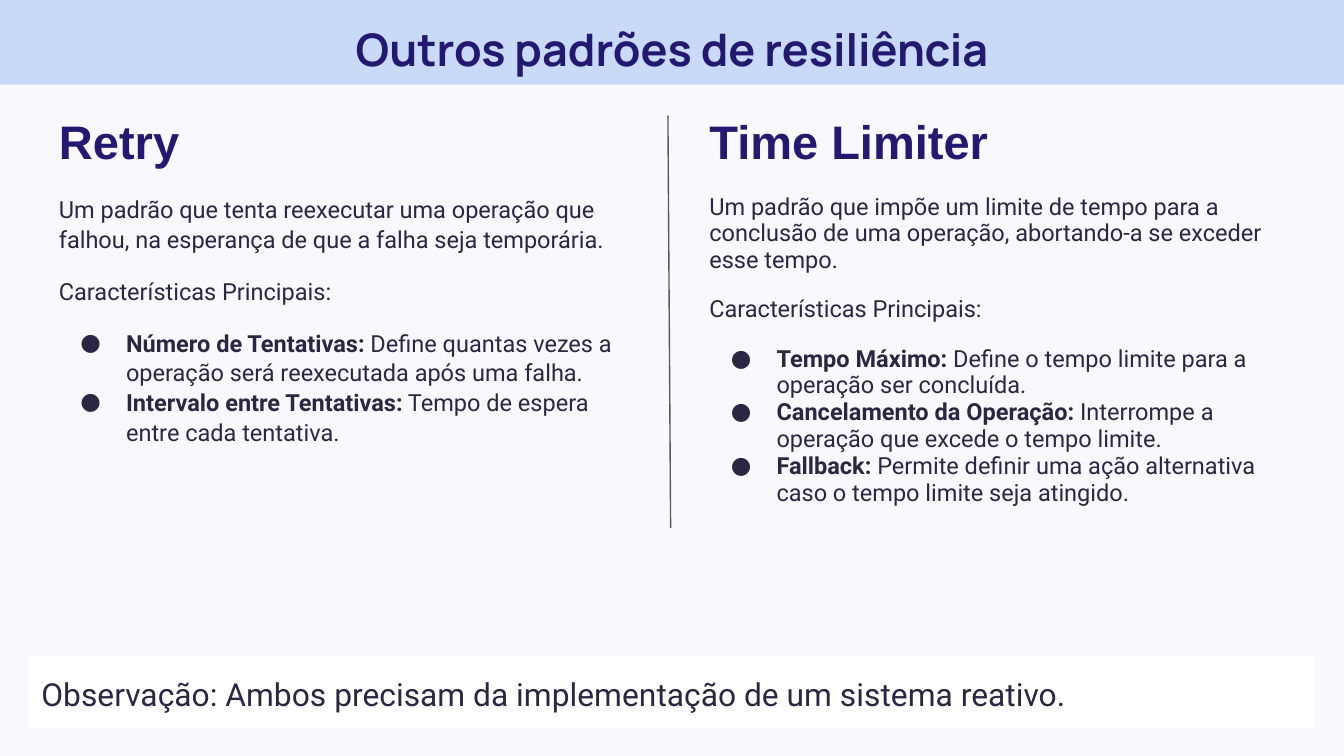
from pptx import Presentation
from pptx import util as u
from pptx.dml import color
from pptx.enum import shapes, text
from pptx.oxml import parse_xml
from pptx.oxml.ns import nsdecls

NAVY, INK = "231971", "2A2742"
HEAD = dict(size=u.Pt(25.2), name="Arial", bold=True)
BODY = dict(size=u.Pt(12.6), name="Roboto")
BAR = dict(size=u.Pt(24), name="Manrope", bold=True)
NOTE = dict(size=u.Pt(17), name="Roboto")


def tint(code):
    return color.RGBColor.from_string(code)


def apply(item, style):
    for key, val in style.items():
        setattr(item, key, val)


class Deck:
    def __init__(self, wide, high, back):
        self.prs = Presentation()
        self.prs.slide_width = u.Inches(wide)
        self.prs.slide_height = u.Inches(high)
        self.slide = self.prs.slides.add_slide(self.prs.slide_layouts[6])
        fill = self.slide.background.fill
        fill.solid()
        fill.fore_color.rgb = tint(back)

    def frame(self, shape, anchor):
        edges = ("left", "top", "right", "bottom")
        apply(shape.text_frame, {f"margin_{e}": u.Inches(0.1) for e in edges})
        apply(shape.text_frame, dict(word_wrap=True, vertical_anchor=anchor))
        return shape.text_frame

    def box(self, spot, anchor=text.MSO_ANCHOR.TOP):
        shape = self.slide.shapes.add_textbox(*map(u.Inches, spot))
        return self.frame(shape, anchor)

    def bar(self, spot, fill, words, style, code, align):
        shape = self.slide.shapes.add_shape(
            shapes.MSO_SHAPE.RECTANGLE, *map(u.Inches, spot))
        shape.shadow.inherit = False
        shape.fill.solid()
        shape.fill.fore_color.rgb = tint(fill)
        shape.line.fill.background()
        frame = self.frame(shape, text.MSO_ANCHOR.TOP)
        para = frame.paragraphs[0]
        apply(para, dict(alignment=align, line_spacing=1.15))
        self.run(para, words, style, code)

    def run(self, para, words, style, code, **extra):
        run = para.add_run()
        run.text = words
        apply(run.font, {**style, **extra})
        run.font.color.rgb = tint(code)

    def bullet(self, para):
        props = para._p.get_or_add_pPr()
        props.set("marL", str(u.Inches(0.5)))
        props.set("indent", str(u.Inches(-0.34)))
        for part in (f'buClr {nsdecls("a")}><a:srgbClr val="{INK}"/></a:buClr>',
                     f'buSzPts {nsdecls("a")} val="1260"/>',
                     f'buFont {nsdecls("a")} typeface="Roboto"/>',
                     f'buChar {nsdecls("a")} char="●"/>'):
            props.append(parse_xml("<a:" + part))

    def column(self, left, title, intro, points, gap):
        head = self.box((left, 0.73, 4.32, 0.63), text.MSO_ANCHOR.BOTTOM)
        self.run(head.paragraphs[0], title, HEAD, NAVY)
        body = self.box((left, 1.34, 4.43, 2.59))
        lines = [("", intro), ("", "Características Principais:"), *points]
        for i, (label, words) in enumerate(lines):
            para = body.add_paragraph() if i else body.paragraphs[0]
            para.line_spacing = gap
            para.space_before = u.Pt(12 if i in (1, 2) else 0)
            if label:
                self.bullet(para)
                self.run(para, label, BODY, INK, bold=True)
                words = " " + words
            self.run(para, words, BODY, INK, bold=False)

    def rule(self, start, end, code, width):
        line = self.slide.shapes.add_connector(
            shapes.MSO_CONNECTOR.STRAIGHT, *map(u.Inches, start + end))
        line.line.color.rgb = tint(code)
        line.line.width = u.Pt(width)
        line._element.spPr.append(
            parse_xml(f'<a:effectLst {nsdecls("a")}/>'))


def main():
    deck = Deck(10, 5.625, "FAF8FF")
    deck.column(
        0.34, "Retry",
        "Um padrão que tenta reexecutar uma operação que falhou, "
        "na esperança de que a falha seja temporária.",
        [("Número de Tentativas:",
          "Define quantas vezes a operação será reexecutada após uma falha."),
         ("Intervalo entre Tentativas:",
          "Tempo de espera entre cada tentativa.")], 1.05)
    deck.bar((0, 0, 10, 0.63), "C9DAF8", "Outros padrões de resiliência",
             BAR, NAVY, text.PP_ALIGN.CENTER)
    deck.rule((4.97, 0.86), (4.99, 3.93), "595959", 0.75)
    deck.column(
        5.18, "Time Limiter",
        "Um padrão que impõe um limite de tempo para a conclusão de uma "
        "operação, abortando-a se exceder esse tempo.",
        [("Tempo Máximo:",
          "Define o tempo limite para a operação ser concluída."),
         ("Cancelamento da Operação:",
          "Interrompe a operação que excede o tempo limite."),
         ("Fallback:",
          "Permite definir uma ação alternativa caso o tempo limite "
          "seja atingido.")], 0.95)
    deck.bar((0.21, 4.88, 9.57, 0.54), "FFFFFF",
             "Observação: Ambos precisam da implementação "
             "de um sistema reativo.", NOTE, INK, text.PP_ALIGN.LEFT)
    deck.prs.save("out.pptx")


if __name__ == "__main__":
    main()
